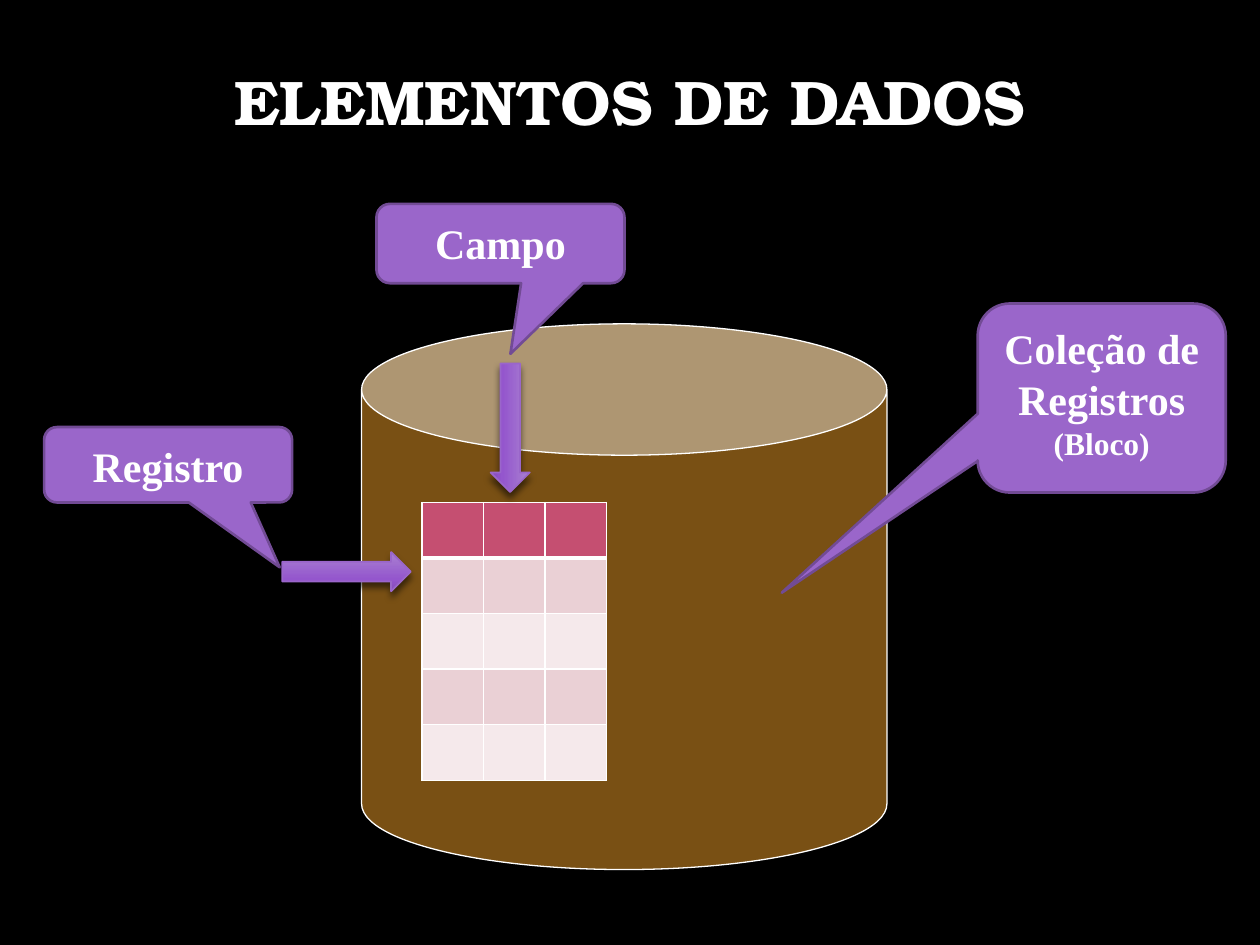
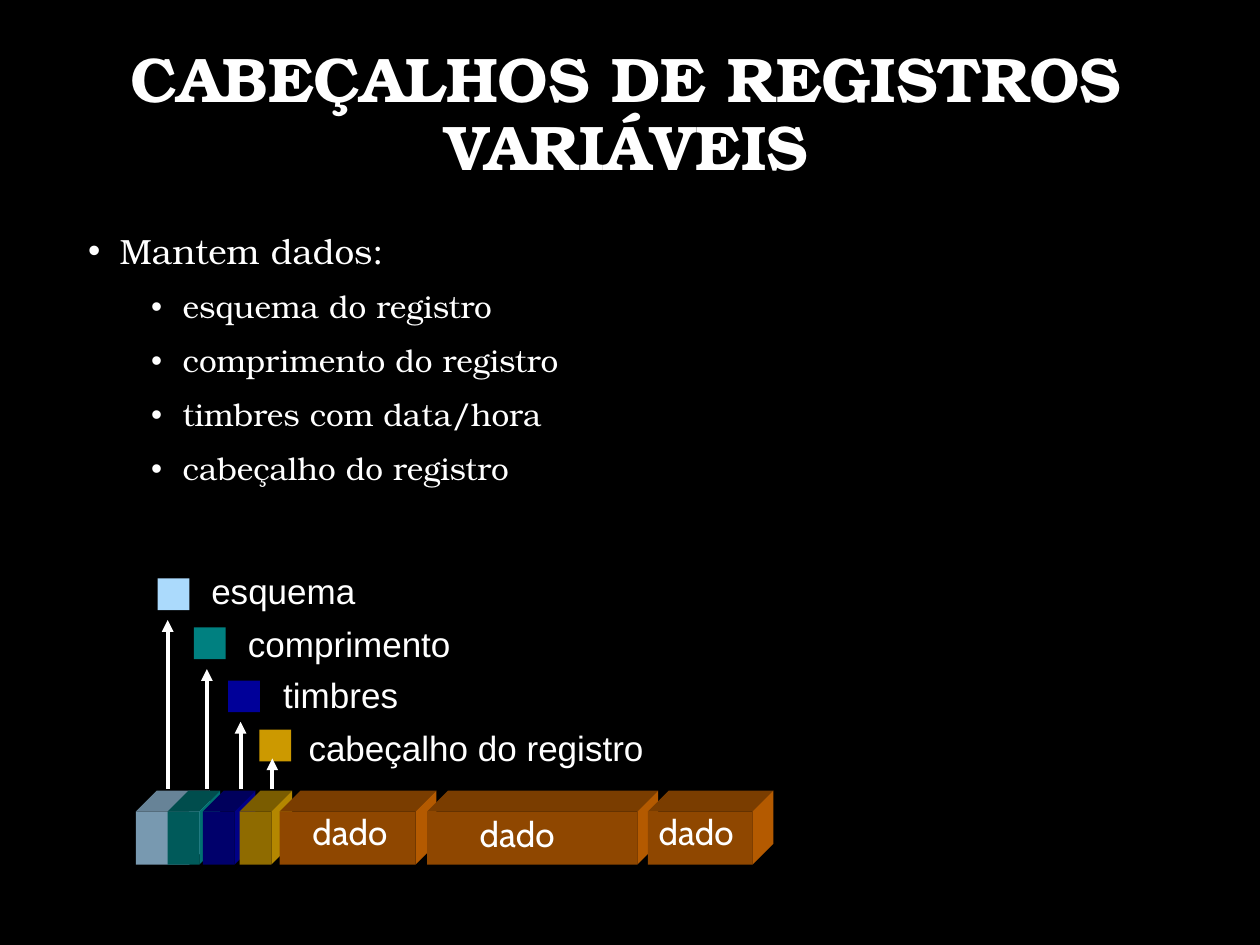
from copy import deepcopy
from dataclasses import dataclass

from lxml import etree
from pptx import Presentation
from pptx.dml.color import RGBColor
from pptx.enum.shapes import MSO_CONNECTOR, MSO_SHAPE
from pptx.enum.text import MSO_ANCHOR, MSO_AUTO_SIZE, PP_ALIGN
from pptx.oxml.ns import qn
from pptx.util import Cm, Pt

CENTER, LEFT = PP_ALIGN.CENTER, PP_ALIGN.LEFT
TOP, MIDDLE = MSO_ANCHOR.TOP, MSO_ANCHOR.MIDDLE
FIXED_SIZE, GROW = MSO_AUTO_SIZE.NONE, MSO_AUTO_SIZE.SHAPE_TO_FIT_TEXT
CAN, RECTANGLE = MSO_SHAPE.CAN, MSO_SHAPE.RECTANGLE
CALLOUT, RIGHT_ARROW = MSO_SHAPE.ROUNDED_RECTANGULAR_CALLOUT, MSO_SHAPE.RIGHT_ARROW
STRAIGHT = MSO_CONNECTOR.STRAIGHT
TITLE_AND_BODY, TITLE_ONLY = 1, 5


@dataclass(frozen=True)
class Theme:
    background: str = "000000"
    text: str = "FFFFFF"
    disk: str = "795014"
    callout: str = "9A66CA"
    callout_line: str = "724B95"
    arrow_stops: tuple = ((0, "A981D1"), (0.69, "9456CD"), (1, "864BBC"))
    table_header: str = "C54F71"
    table_bands: tuple = ("EAD0D5", "F5E9EB")
    schema: str = "ABDAFC"
    length: str = "008080"
    stamps: str = "000099"
    header: str = "CC9900"
    data: str = "CC6600"
    heading_font: str = "TeX Gyre Bonum"
    callout_font: str = "Times New Roman"
    label_font: str = "Arial"
    data_font: str = "Cabin"
    title_size: int = 36
    callout_size: int = 24
    small_size: int = 18
    body_size: int = 20


THEME = Theme()


def rgb(color):
    return RGBColor.from_string(color)


def shade(color, factor):
    """Darken a colour by multiplying each channel by the factor."""
    return "".join(f"{round(channel * factor):02X}" for channel in rgb(color))


def write(paragraph, text, font=THEME.label_font, size=THEME.body_size, bold=False,
          align=LEFT, line_spacing=None, space_before=0):
    paragraph.alignment = align
    paragraph.space_before = Pt(space_before)
    if line_spacing:
        paragraph.line_spacing = line_spacing
    run = paragraph.add_run()
    run.text = text
    run.font.name = font
    run.font.size = Pt(size)
    run.font.bold = bold
    run.font.color.rgb = rgb(THEME.text)


def place(shape, left, top, width, height):
    shape.left, shape.top = Cm(left), Cm(top)
    shape.width, shape.height = Cm(width), Cm(height)


def paint(shape, fill, line=None, line_width=0.75):
    shape.shadow.inherit = False
    shape.fill.solid()
    shape.fill.fore_color.rgb = rgb(fill)
    if line:
        shape.line.color.rgb = rgb(line)
        shape.line.width = Pt(line_width)
    else:
        shape.line.fill.background()


def add_preset(slide, preset, box, fill, line=None, line_width=0.75):
    shape = slide.shapes.add_shape(preset, *map(Cm, box))
    paint(shape, fill, line, line_width)
    return shape


def add_titled_slide(presentation, layout, title, box):
    slide = presentation.slides.add_slide(presentation.slide_layouts[layout])
    place(slide.shapes.title, *box)
    frame = slide.shapes.title.text_frame
    frame.auto_size = FIXED_SIZE
    frame.vertical_anchor = MIDDLE
    write(frame.paragraphs[0], title, font=THEME.heading_font, size=THEME.title_size,
          bold=True, align=CENTER, line_spacing=0.9)
    return slide


def add_label(slide, text, box, wrap=True, **text_format):
    shape = slide.shapes.add_textbox(*map(Cm, box))
    frame = shape.text_frame
    frame.word_wrap = wrap
    frame.auto_size = GROW
    write(frame.paragraphs[0], text, **text_format)


def add_callout(slide, box, adjustments, lines):
    shape = add_preset(slide, CALLOUT, box, THEME.callout, THEME.callout_line, 1.5)
    for index, value in enumerate(adjustments):
        shape.adjustments[index] = value
    frame = shape.text_frame
    frame.word_wrap = False
    frame.vertical_anchor = TOP
    frame.margin_top = Cm(0.2)
    for index, (text, size) in enumerate(lines):
        paragraph = frame.add_paragraph() if index else frame.paragraphs[0]
        write(paragraph, text, font=THEME.callout_font, size=size, bold=True, align=CENTER)


def add_block_arrow(slide, box, rotation=0):
    """Add an arrow with a three-stop gradient and a soft shadow below it."""
    shape = add_preset(slide, RIGHT_ARROW, box, THEME.callout, THEME.callout, 1)
    shape.rotation = rotation
    shape.fill.gradient()
    shape.fill.gradient_angle = 270
    stop_list = shape.fill._fill._gradFill.find(qn("a:gsLst"))
    stop_list.insert(1, deepcopy(stop_list[0]))
    for stop, (position, color) in zip(shape.fill.gradient_stops, THEME.arrow_stops):
        stop.position = position
        stop.color.rgb = rgb(color)
    effects = shape._element.spPr.find(qn("a:effectLst"))
    shadow = etree.SubElement(effects, qn("a:outerShdw"), blurRad=str(Pt(4)),
                              dist=str(Pt(3)), dir="5400000", rotWithShape="0")
    color = etree.SubElement(shadow, qn("a:srgbClr"), val="000000")
    etree.SubElement(color, qn("a:alpha"), val="54000")


def set_cell_borders(cell, bottom_width, top_width):
    properties = cell._tc.get_or_add_tcPr()
    widths = {"a:lnL": 1, "a:lnR": 1, "a:lnT": top_width, "a:lnB": bottom_width}
    for index, (tag, width) in enumerate(widths.items()):
        border = etree.Element(qn(tag), w=str(Pt(width)))
        fill = etree.SubElement(border, qn("a:solidFill"))
        etree.SubElement(fill, qn("a:srgbClr"), val=THEME.text)
        properties.insert(index, border)


def add_record_table(slide, left, top, rows, columns, column_width, row_height):
    table = slide.shapes.add_table(rows, columns, Cm(left), Cm(top),
                                   Cm(columns * column_width), Cm(rows * row_height)).table
    for column in table.columns:
        column.width = Cm(column_width)
    for index, row in enumerate(table.rows):
        row.height = Cm(row_height)
        color = THEME.table_bands[(index - 1) % 2] if index else THEME.table_header
        for cell in row.cells:
            cell.fill.solid()
            cell.fill.fore_color.rgb = rgb(color)
            set_cell_borders(cell, 1 if index else 3, 3 if index == 1 else 1)


def add_bullet(paragraph, text, level, size, space_before):
    paragraph.level = level
    write(paragraph, text, font=THEME.heading_font, size=size,
          line_spacing=1.2, space_before=space_before)
    properties = paragraph._p.get_or_add_pPr()
    properties.set("marL", str(Cm(0.64 + 1.27 * level)))
    properties.set("indent", str(Cm(-0.64)))
    etree.SubElement(properties, qn("a:buFont"), typeface="Arial")
    etree.SubElement(properties, qn("a:buChar"), char="•")


def add_polygon(slide, points, fill):
    start, *others = [(Cm(x), Cm(y)) for x, y in points]
    builder = slide.shapes.build_freeform(*start)
    builder.add_line_segments(others)
    paint(builder.convert_to_shape(), fill)


def add_block(slide, left, width, color, top=16.36, height=1.07, depth=0.42):
    """Add a solid block: a front rectangle with its top and right faces."""
    right, bottom = left + width, top + height
    back_right, back_top = right + depth, top - depth
    add_polygon(slide, [(left, top), (left + depth, back_top),
                        (back_right, back_top), (right, top)], shade(color, 0.6))
    add_polygon(slide, [(right, top), (back_right, back_top),
                        (back_right, bottom - depth), (right, bottom)], shade(color, 0.88))
    add_preset(slide, RECTANGLE, (left, top, width, height), shade(color, 0.7))


def add_up_arrow(slide, x, tip, start=15.9):
    connector = slide.shapes.add_connector(STRAIGHT, Cm(x), Cm(start), Cm(x), Cm(tip))
    connector.line.color.rgb = rgb(THEME.text)
    connector.line.width = Pt(2.25)
    etree.SubElement(connector.line._get_or_add_ln(), qn("a:tailEnd"), type="triangle")
    etree.SubElement(connector._element.spPr, qn("a:effectLst"))


def build_data_elements(presentation):
    slide = add_titled_slide(presentation, TITLE_ONLY, "ELEMENTOS DE DADOS",
                             (1.9, 0.74, 21.59, 2.74))
    add_preset(slide, CAN, (7.29, 6.53, 10.59, 11), THEME.disk, THEME.text)
    add_record_table(slide, 8.51, 10.13, rows=5, columns=3, column_width=1.24, row_height=1.12)
    large, small = THEME.callout_size, THEME.small_size
    add_callout(slide, (19.71, 6.12, 5, 3.81), (-1.29, 1.03, 0.17),
                [("Coleção de", large), ("Registros", large), ("(Bloco)", small)])
    add_callout(slide, (7.59, 4.11, 5, 1.6), (0.04, 1.39, 0.17), [("Campo", large)])
    add_callout(slide, (0.89, 8.61, 5, 1.52), (0.45, 1.36, 0.17), [("Registro", large)])
    add_block_arrow(slide, (5.69, 11.13, 2.59, 0.79))
    add_block_arrow(slide, (8.99, 8.23, 2.59, 0.79), rotation=90)


def build_record_headers(presentation):
    slide = add_titled_slide(presentation, TITLE_AND_BODY, "CABEÇALHOS DE REGISTROS VARIÁVEIS",
                             (0.71, 0.76, 23.83, 3.18))
    body = slide.placeholders[1]
    place(body, 1.52, 4.32, 22.86, 13.08)
    frame = body.text_frame
    frame.auto_size = FIXED_SIZE
    add_bullet(frame.paragraphs[0], "Mantem dados:", 0, THEME.body_size, 10)
    for item in ("esquema do registro", "comprimento do registro",
                 "timbres com data/hora", "cabeçalho do registro"):
        add_bullet(frame.add_paragraph(), item, 1, THEME.small_size, 5)

    header_blocks = [(2.74, 1.07, THEME.schema), (3.38, 0.64, THEME.length),
                     (4.09, 0.64, THEME.stamps), (4.83, 0.64, THEME.header)]
    data_blocks = [(5.64, 2.74, THEME.data), (8.61, 4.24, THEME.data), (13.06, 2.11, THEME.data)]
    for left, width, color in header_blocks + data_blocks:
        add_block(slide, left, width, color)
    for left, top in ((6.05, 16.21), (9.42, 16.26), (13.03, 16.21)):
        add_label(slide, "dado", (left, top, 2.54, 1.09), font=THEME.data_font)

    # Colour, square corner, label corner, arrow x and arrow tip
    legend = [
        ("esquema", THEME.schema, (3.18, 11.66), (4.01, 11.58), 3.38, 12.5),
        ("comprimento", THEME.length, (3.91, 12.65), (4.75, 12.65), 4.17, 13.49),
        ("timbres", THEME.stamps, (4.6, 13.72), (5.46, 13.69), 4.85, 14.55),
    ]
    for text, color, square, label, arrow_x, arrow_tip in legend:
        add_preset(slide, RECTANGLE, (*square, 0.64, 0.64), color)
        add_label(slide, text, (*label, 7.04, 0.86), line_spacing=0.7)
        add_up_arrow(slide, arrow_x, arrow_tip)
    add_preset(slide, RECTANGLE, (5.23, 14.71, 0.64, 0.64), THEME.header)
    add_label(slide, "cabeçalho do registro", (5.97, 14.53, 7.32, 1.12), wrap=False)
    add_up_arrow(slide, 5.49, 15.29)


def main():
    presentation = Presentation()
    presentation.slide_width, presentation.slide_height = Cm(25.4), Cm(19.05)
    background = presentation.slide_master.background.fill
    background.solid()
    background.fore_color.rgb = rgb(THEME.background)
    build_data_elements(presentation)
    build_record_headers(presentation)
    presentation.save("out.pptx")


if __name__ == "__main__":
    main()
